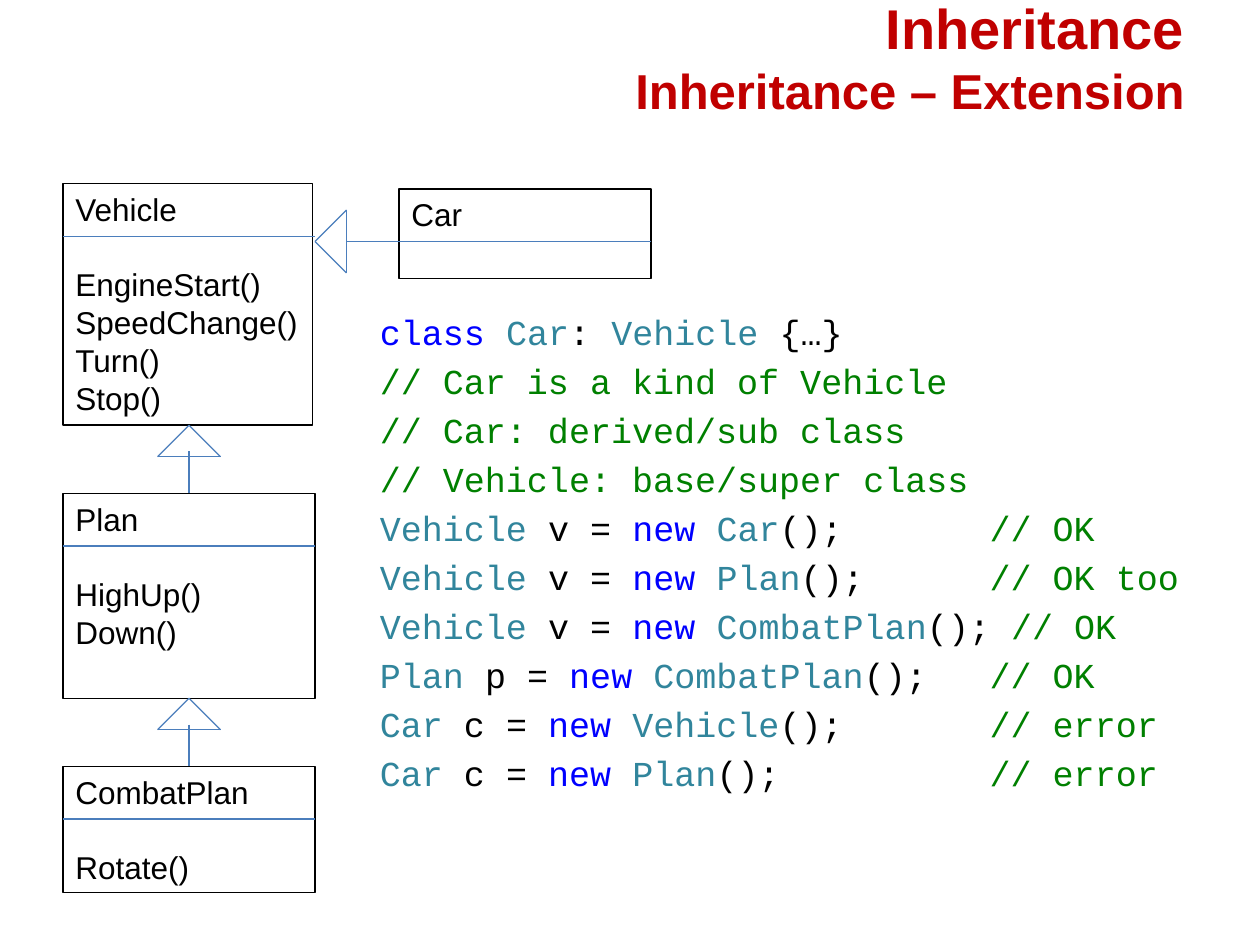
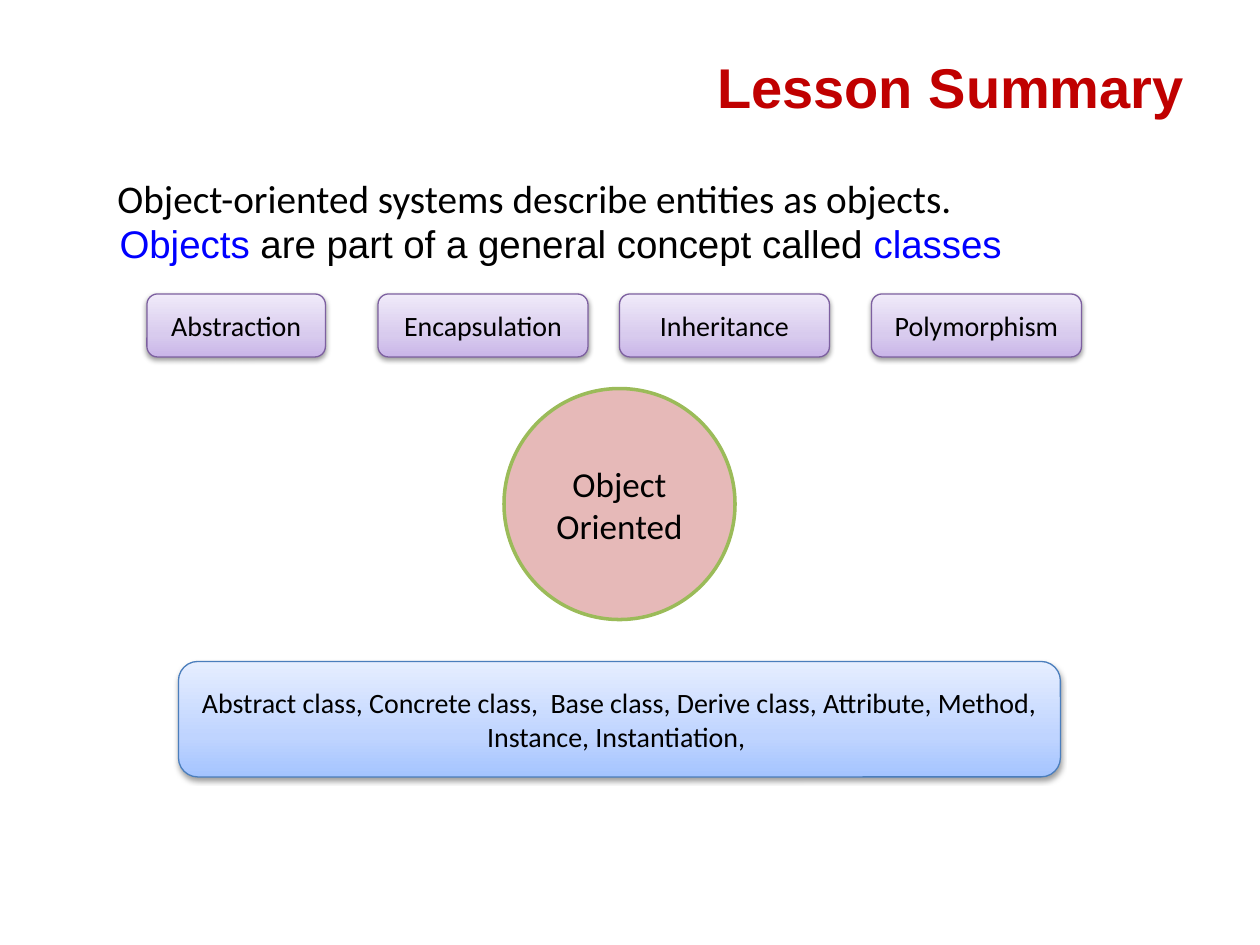
from lxml import etree
from pptx import Presentation
from pptx.dml.color import RGBColor
from pptx.enum.shapes import MSO_CONNECTOR, MSO_SHAPE
from pptx.enum.text import MSO_ANCHOR, PP_ALIGN
from pptx.oxml import parse_xml
from pptx.oxml.ns import nsdecls, qn
from pptx.util import Inches, Pt

COLS, ROWS = 120, 90
UNIT = Inches(10) / COLS

RED, BLACK, BLUE, TEAL, GREEN = "C00000", "000000", "0000FF", "31859C", "008000"
LINE, PURPLE = "4B7EBC", "7D60A0"
PURPLE_STOPS = ((0, "C9B5E8"), (35, "D8CBEE"), (100, "F0EAF9"))
BLUE_STOPS = ((0, "A4C4FF"), (35, "BFD4FF"), (100, "E6EEFF"))
TITLE_BOX = (23.2, 0, 90.8, 12)
LABEL = {"name": "Arial", "size": Pt(18)}
CODE = {"name": "Courier New", "size": Pt(20)}
BODY = {"name": "Calibri", "size": Pt(16)}

CLASSES = [
    ((6, 17.5, 23.75, 23), "Vehicle",
     ["EngineStart()", "SpeedChange()", "Turn()", "Stop()"]),
    ((38, 18, 24, 8.5), "Car", []),
    ((6, 47, 24, 19.5), "Plan", ["HighUp()", "Down()"]),
    ((6, 73, 24, 12), "CombatPlan", ["Rotate()"]),
]
COMMENTS = ["// Car is a kind of Vehicle", "// Car: derived/sub class",
            "// Vehicle: base/super class"]
ASSIGNMENTS = [
    ("Vehicle", "v", "Car", "\t// OK"),
    ("Vehicle", "v", "Plan", "\t// OK too"),
    ("Vehicle", "v", "CombatPlan", " // OK"),
    ("Plan", "p", "CombatPlan", "\t// OK"),
    ("Car", "c", "Vehicle", "\t// error"),
    ("Car", "c", "Plan", "\t// error"),
]
PILLARS = [("Abstraction", 14, 17), ("Encapsulation", 36, 20),
           ("Inheritance", 59, 20), ("Polymorphism", 83, 20)]


def grid(*values):
    return [round(v * UNIT) for v in values]


def rgb(value):
    return RGBColor.from_string(value)


def set_attrs(target, values):
    for name, value in values.items():
        setattr(target, name, value)


def add_run(p, text, color, font):
    r = p.add_run()
    r.text = text
    set_attrs(r.font, font)
    r.font.color.rgb = rgb(color)


def fill_text(sp, paragraphs, font, frame=None, para=None):
    tf = sp.text_frame
    set_attrs(tf, {"word_wrap": True, **(frame or {})})
    for i, runs in enumerate(paragraphs):
        p = tf.paragraphs[0] if i == 0 else tf.add_paragraph()
        set_attrs(p, {"alignment": PP_ALIGN.LEFT, **(para or {})})
        for text, color in runs:
            add_run(p, text, color, font)
    return tf


def add_text(s, box, paragraphs, font, frame=None, para=None):
    sp = s.shapes.add_textbox(*grid(*box))
    return fill_text(sp, paragraphs, font, frame, para)


def add_box(s, kind, box, line, width=0.75, fill=None):
    sp = s.shapes.add_shape(kind, *grid(*box))
    sp.shadow.inherit = False
    sp.line.color.rgb = rgb(line)
    sp.line.width = Pt(width)
    if fill:
        sp.fill.solid()
        sp.fill.fore_color.rgb = rgb(fill)
    else:
        sp.fill.background()
    return sp


def add_line(s, start, end):
    c = s.shapes.add_connector(MSO_CONNECTOR.STRAIGHT, *grid(*start, *end))
    c.line.color.rgb = rgb(LINE)
    c.line.width = Pt(0.75)
    etree.SubElement(c._element.spPr, qn("a:effectLst"))


def add_title(s, lines):
    tf = add_text(s, TITLE_BOX, [[]], {}, {"vertical_anchor": MSO_ANCHOR.BOTTOM},
                  {"alignment": PP_ALIGN.RIGHT})
    p = tf.paragraphs[0]
    for i, (text, size) in enumerate(lines):
        if i:
            p.add_line_break()
        add_run(p, text, RED, {"name": "Arial", "size": Pt(size), "bold": True})


def add_class(s, box, name, members):
    x, y, w, h = box
    sp = add_box(s, MSO_SHAPE.RECTANGLE, box, BLACK)
    tf = fill_text(sp, [[(text, BLACK)] for text in [name, *members]], LABEL,
                   {"vertical_anchor": MSO_ANCHOR.TOP, "margin_right": 0})
    if members:
        tf.paragraphs[1].space_before = Pt(21.6)
    add_line(s, (x, y + 5), (x + 24, y + 5))


def add_generalization(s, tip, direction, stem):
    (x, y), (dx, dy) = tip, direction

    def at(along, across):
        return x + dx * along + dy * across, y + dy * along + dx * across

    corners = [at(0, 0), at(3, 3), at(3, -3)]
    for start, end in zip(corners, corners[1:] + corners[:1]):
        add_line(s, start, end)
    add_line(s, *(at(along, 0) for along in stem))


def add_code(s, box):
    rows = [[("class ", BLUE), ("Car", TEAL), (": ", BLACK),
             ("Vehicle", TEAL), (" {…}", BLACK)]]
    rows += [[(text, GREEN)] for text in COMMENTS]
    rows += [[(kind, TEAL), (f" {var} = ", BLACK), ("new ", BLUE),
              (made, TEAL), ("();", BLACK), (note, GREEN)]
             for kind, var, made, note in ASSIGNMENTS]
    tf = add_text(s, box, rows, CODE, para={"space_before": Pt(4)})
    for p in tf.paragraphs:
        p._p.get_or_add_pPr().append(parse_xml(
            f'<a:tabLst {nsdecls("a")}><a:tab pos="{Inches(4.84)}" algn="l"/></a:tabLst>'))


def add_card(s, box, lines, stops, line):
    sp = add_box(s, MSO_SHAPE.ROUNDED_RECTANGLE, box, line)
    marks = "".join(f'<a:gs pos="{pos * 1000}"><a:srgbClr val="{color}"/></a:gs>'
                    for pos, color in stops)
    pr = sp._element.spPr
    pr.replace(pr.find(qn("a:noFill")), parse_xml(
        f'<a:gradFill {nsdecls("a")} rotWithShape="1"><a:gsLst>{marks}</a:gsLst>'
        '<a:lin ang="16200000" scaled="0"/></a:gradFill>'))
    pr.find(qn("a:effectLst")).append(parse_xml(
        f'<a:outerShdw {nsdecls("a")} blurRad="{Pt(3.1)}" dist="{Pt(1.6)}" dir="5400000"'
        ' rotWithShape="0"><a:srgbClr val="000000"><a:alpha val="38000"/></a:srgbClr>'
        '</a:outerShdw>'))
    fill_text(sp, [[(text, BLACK)] for text in lines], BODY,
              {"vertical_anchor": MSO_ANCHOR.MIDDLE}, {"alignment": PP_ALIGN.CENTER})


def add_hub(s, box):
    sp = add_box(s, MSO_SHAPE.OVAL, box, "9BBB59", 2, "E6B9B8")
    fill_text(sp, [[("Object Oriented", BLACK)]], {**BODY, "size": Pt(20)},
              {"vertical_anchor": MSO_ANCHOR.MIDDLE}, {"alignment": PP_ALIGN.CENTER})


def build_extension(s):
    add_title(s, [("Inheritance", 32), ("Inheritance – Extension", 28)])
    for box, name, members in CLASSES:
        add_class(s, box, name, members)
    for y in (40.5, 66.5):
        add_generalization(s, (18, y), (0, 1), (2.5, 6.5))
    add_generalization(s, (30, 23), (1, 0), (3, 8))
    add_code(s, (35, 29, 79, 57))


def build_summary(s):
    add_title(s, [("Lesson Summary", 32)])
    add_text(s, (10, 16, 98.4, 5),
             [[("Object-oriented systems describe entities as objects.", BLACK)]],
             {**BODY, "size": Pt(22.4)})
    add_text(s, (10.2, 20.4, 97.8, 5.6),
             [[("Objects", BLUE), (" are part of a general concept called ", BLACK),
               ("classes", BLUE)]], {**LABEL, "size": Pt(22)})
    add_hub(s, (48, 37, 22, 22))
    for name, x, w in PILLARS:
        add_card(s, (x, 28, w, 6), [name], PURPLE_STOPS, PURPLE)
    add_card(s, (17, 63, 84, 11),
             ["Abstract class, Concrete class,  Base class, Derive class, Attribute, Method,",
              "Instance, Instantiation, "], BLUE_STOPS, LINE)


def main():
    prs = Presentation()
    set_attrs(prs, {"slide_width": round(COLS * UNIT), "slide_height": round(ROWS * UNIT)})
    for build in (build_extension, build_summary):
        build(prs.slides.add_slide(prs.slide_layouts[6]))
    prs.save("out.pptx")


if __name__ == "__main__":
    main()
